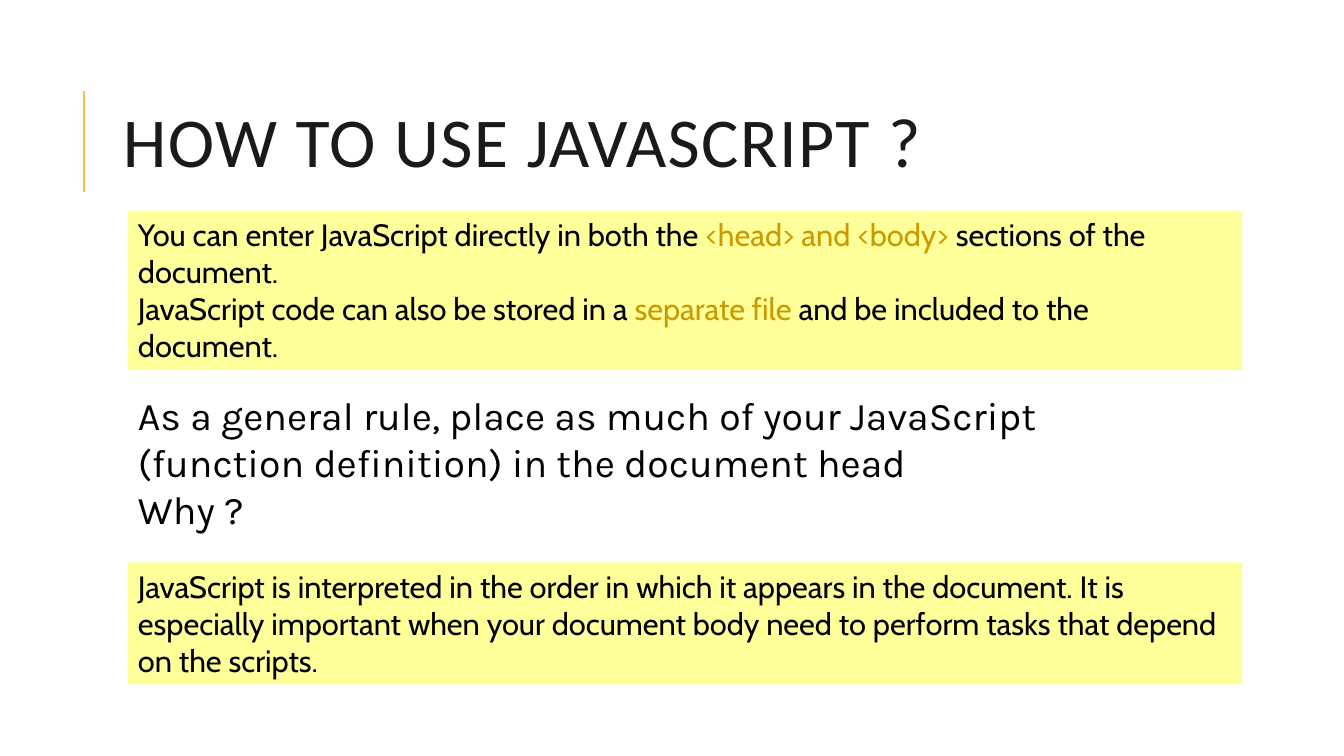
from lxml import etree
from pptx import Presentation
from pptx import util as u
from pptx.dml.color import RGBColor
from pptx.enum import shapes, text
from pptx.oxml import ns

WIDTH, HEIGHT = 13.33, 7.5
LEFT, PANEL_WIDTH = 1.27, 11.05
INK, GOLD, YELLOW = "000000", "CC9900", "FFFF99"
TITLE = {"name": "Calibri", "size": u.Pt(50)}
PANEL = {"name": "Cabin", "size": u.Pt(22)}
RULE = {"name": "Karla", "size": u.Pt(28)}


def colour(hex_value):
    """Turn a hex string into a colour."""
    return RGBColor.from_string(hex_value)


def box(left, top, width, height):
    """Turn inches into the four lengths of a place."""
    return [u.Inches(length) for length in (left, top, width, height)]


def add_accent(slide, x, top, bottom):
    """Draw the vertical line beside the title."""
    accent = slide.shapes.add_connector(
        shapes.MSO_CONNECTOR.STRAIGHT, *map(u.Inches, (x, bottom, x, top)))
    accent.line.color.rgb = colour("FFBD47")
    accent.line.width = u.Pt(1.5)
    etree.SubElement(accent._element.spPr, ns.qn("a:effectLst"))


def write(frame, paragraphs, font, frame_format):
    """Fill a frame with paragraphs of (words, colour) pieces."""
    for key, value in {"word_wrap": True, **frame_format}.items():
        setattr(frame, key, value)
    for index, pieces in enumerate(paragraphs):
        paragraph = frame.add_paragraph() if index else frame.paragraphs[0]
        paragraph.alignment = text.PP_ALIGN.LEFT
        for words, ink in pieces:
            for number, line in enumerate(words.split("\n")):
                if number:
                    paragraph.add_line_break()
                run = paragraph.add_run()
                run.text = line
                for key, value in font.items():
                    setattr(run.font, key, value)
                run.font.color.rgb = colour(ink)


def add_title(slide, words):
    """Add the widely spaced slide title."""
    frame = slide.shapes.add_textbox(*box(1.12, 0.64, 10.63, 1.64)).text_frame
    write(frame, [[(words, "1A1A1A")]], TITLE,
          {"vertical_anchor": text.MSO_ANCHOR.MIDDLE})
    heading = frame.paragraphs[0]
    heading.line_spacing = 0.8
    heading.runs[0].font._element.set("spc", "100")


def add_panel(slide, top, height, pieces):
    """Add a yellow panel with one paragraph."""
    panel = slide.shapes.add_shape(
        shapes.MSO_SHAPE.RECTANGLE, *box(LEFT, top, PANEL_WIDTH, height))
    panel.shadow.inherit = False
    panel.fill.solid()
    panel.fill.fore_color.rgb = colour(YELLOW)
    panel.line.fill.background()
    write(panel.text_frame, [pieces], PANEL,
          {"vertical_anchor": text.MSO_ANCHOR.TOP,
           "auto_size": text.MSO_AUTO_SIZE.SHAPE_TO_FIT_TEXT})


def add_rule(slide, lines):
    """Add the general rule in large type."""
    frame = slide.shapes.add_textbox(*box(LEFT, 3.83, 11.83, 1.51)).text_frame
    write(frame, [[(line, INK)] for line in lines], RULE,
          {"auto_size": text.MSO_AUTO_SIZE.SHAPE_TO_FIT_TEXT})


def main():
    """Build and save the slide."""
    deck = Presentation()
    deck.slide_width, deck.slide_height = u.Inches(WIDTH), u.Inches(HEIGHT)
    slide = deck.slides.add_slide(deck.slide_layouts[6])
    add_accent(slide, 0.83, 0.9, 1.9)
    add_title(slide, "HOW TO USE JAVASCRIPT ?")
    add_panel(slide, 2.09, 1.58, [
        ("You can enter JavaScript directly in both the ", INK),
        ("<head> and <body>", GOLD),
        (" sections of the document.\n"
         "JavaScript code can also be stored in a ", INK),
        ("separate file", GOLD),
        (" and be included to the document.", INK)])
    add_rule(slide, [
        "As a general rule, place as much of your JavaScript",
        "(function definition) in the document head",
        "Why ?"])
    add_panel(slide, 5.58, 1.21, [
        ("JavaScript is interpreted in the order in which it appears in the "
         "document. It is especially important when your document body need "
         "to perform tasks that depend on the scripts.", INK)])
    deck.save("out.pptx")


if __name__ == "__main__":
    main()
